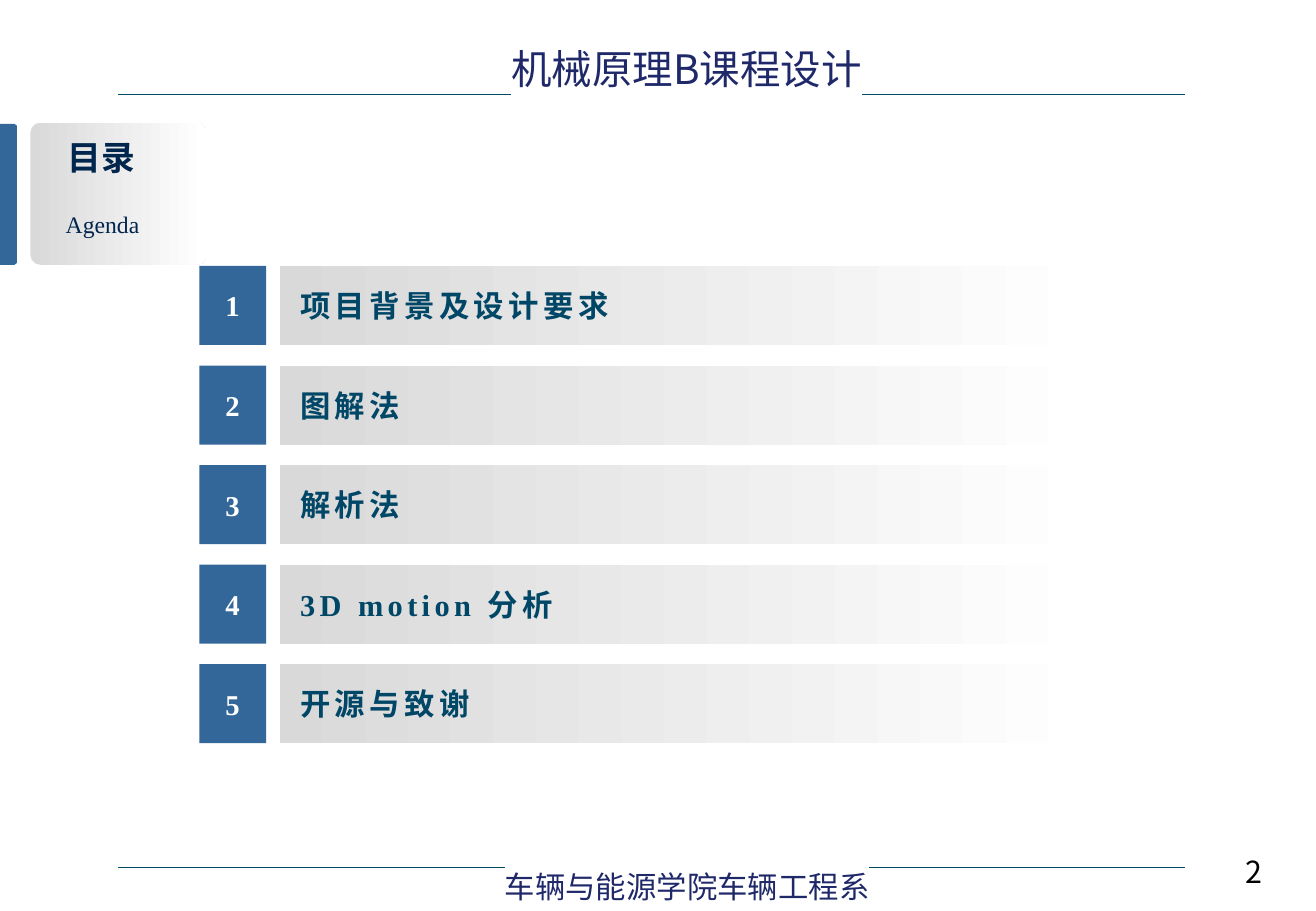
from lxml import etree
from pptx import Presentation
from pptx.dml.color import RGBColor
from pptx.enum.shapes import MSO_CONNECTOR, MSO_SHAPE as Shape
from pptx.enum.text import MSO_ANCHOR as Anchor, PP_ALIGN as Align
from pptx.oxml.ns import qn
from pptx.util import Inches, Pt

WIDTH, HEIGHT = Inches(10.83), Inches(7.5)
SERIF, SANS = "Times New Roman", "Noto Sans CJK SC"

WHITE = RGBColor(0xFF, 0xFF, 0xFF)
BLACK = RGBColor(0x00, 0x00, 0x00)
GREY = RGBColor(0xD9, 0xD9, 0xD9)
BLUE = RGBColor(0x33, 0x66, 0x99)
NAVY = RGBColor(0x00, 0x26, 0x4D)
INDIGO = RGBColor(0x1F, 0x29, 0x6A)
TEAL = RGBColor(0x00, 0x46, 0x66)
RULE_TEAL = RGBColor(0x00, 0x4A, 0x63)

TOPICS = ["项目背景及设计要求", "图解法", "解析法", "3D motion 分析", "开源与致谢"]
FIRST_ROW, ROW_STEP, ROW_HEIGHT = 29.2, 10.93, 8.67
NUMBER_LEFT, NUMBER_WIDTH = 15.14, 5.08
TOPIC_LEFT, TOPIC_WIDTH = 21.24, 61.68


def col(share):
    """Horizontal length, in hundredths of the slide width."""
    return round(WIDTH * share / 100)


def row(share):
    """Vertical length, in hundredths of the slide height."""
    return round(HEIGHT * share / 100)


def area(left, top, width, height):
    return col(left), row(top), col(width), row(height)


def write(shape, text, size, color, font=SERIF, bold=False, align=Align.CENTER,
          spacing=None, highlight=None):
    paragraph = shape.text_frame.paragraphs[0]
    paragraph.alignment = align
    run = paragraph.add_run()
    run.text = text
    style = paragraph.font
    style.size, style.bold, style.name = Pt(size), bold, font
    style.color.rgb = color
    properties = run.font._element
    if spacing:
        properties.set("spc", str(round(spacing * 100)))
    if highlight:
        mark = etree.SubElement(properties, qn("a:highlight"))
        etree.SubElement(mark, qn("a:srgbClr")).set("val", str(highlight))
    etree.SubElement(properties, qn("a:ea")).set("typeface", SANS)


def set_margins(shape, left=0, right=0):
    frame = shape.text_frame
    frame.margin_left, frame.margin_right = left, right
    frame.margin_top = frame.margin_bottom = 0


def add_label(slide, place, text, size, color, **style):
    label = slide.shapes.add_textbox(*area(*place))
    label.text_frame.word_wrap = True
    write(label, text, size, color, **style)
    return label


def add_panel(slide, place, fill=None, kind=Shape.RECTANGLE):
    """Borderless shape, fading from grey to white unless a fill is given."""
    panel = slide.shapes.add_shape(kind, *area(*place))
    panel.shadow.inherit = False
    panel.line.fill.background()
    if fill:
        panel.fill.solid()
        panel.fill.fore_color.rgb = fill
    else:
        panel.fill.gradient()
        panel.fill.gradient_angle = 0
        for stop, color in zip(panel.fill.gradient_stops, (GREY, WHITE)):
            stop.color.rgb = color
    panel.text_frame.vertical_anchor = Anchor.MIDDLE
    return panel


def add_rule(slide, height):
    rule = slide.shapes.add_connector(
        MSO_CONNECTOR.STRAIGHT, col(8.96), row(height), col(90.03), row(height))
    rule.line.color.rgb = RULE_TEAL
    rule.line.width = Pt(0.75)
    etree.SubElement(rule._element.spPr, qn("a:effectLst"))


def add_edge_tab(slide, top=13.6, bottom=29.07, width=1.29, corner=0.2):
    outline = slide.shapes.build_freeform(0, row(top))
    outline.add_line_segments([
        (col(width - corner), row(top)),
        (col(width), row(top + corner)),
        (col(width), row(bottom - corner)),
        (col(width - corner), row(bottom)),
        (0, row(bottom)),
    ])
    tab = outline.convert_to_shape()
    tab.shadow.inherit = False
    tab.fill.solid()
    tab.fill.fore_color.rgb = BLUE
    tab.line.fill.background()


def add_heading(slide):
    add_edge_tab(slide)
    card = add_panel(slide, (2.31, 13.47, 13.39, 15.6), kind=Shape.ROUNDED_RECTANGLE)
    card.adjustments[0] = 0.07
    add_label(slide, (2.03, 22.4, 11.54, 4.53), "Agenda", 14, NAVY)
    add_label(slide, (2.31, 14.4, 10.8, 5.87), "目录", 20, NAVY, bold=True)


def add_topic(slide, number, topic):
    top = FIRST_ROW + (number - 1) * ROW_STEP
    badge = add_panel(slide, (NUMBER_LEFT, top, NUMBER_WIDTH, ROW_HEIGHT), BLUE)
    set_margins(badge)
    write(badge, str(number), 17, WHITE, bold=True)

    bar = add_panel(slide, (TOPIC_LEFT, top, TOPIC_WIDTH, ROW_HEIGHT))
    set_margins(bar, left=col(1.57), right=col(0.92))
    write(bar, topic, 18, TEAL, bold=True, align=Align.LEFT, spacing=2.6)


def main():
    deck = Presentation()
    deck.slide_width, deck.slide_height = WIDTH, HEIGHT
    slide = deck.slides.add_slide(deck.slide_layouts[6])

    for height in (95.2, 10.4):
        add_rule(slide, height)
    add_heading(slide)
    for number, topic in enumerate(TOPICS, start=1):
        add_topic(slide, number, topic)

    page = add_label(slide, (88.55, 93.6, 7.39, 2.67), "2", 18, BLACK,
                     font=SANS, align=Align.RIGHT)
    set_margins(page)
    add_label(slide, (28.16, 4.13, 48.01, 6.67), "机械原理B课程设计", 24, INDIGO,
              font=SANS, highlight=WHITE)
    footer = add_label(slide, (37.3, 94.67, 29.82, 5.33), "车辆与能源学院车辆工程系", 18,
                       INDIGO, font=SANS, highlight=WHITE)
    footer.text_frame.word_wrap = False

    deck.save("out.pptx")


if __name__ == "__main__":
    main()
